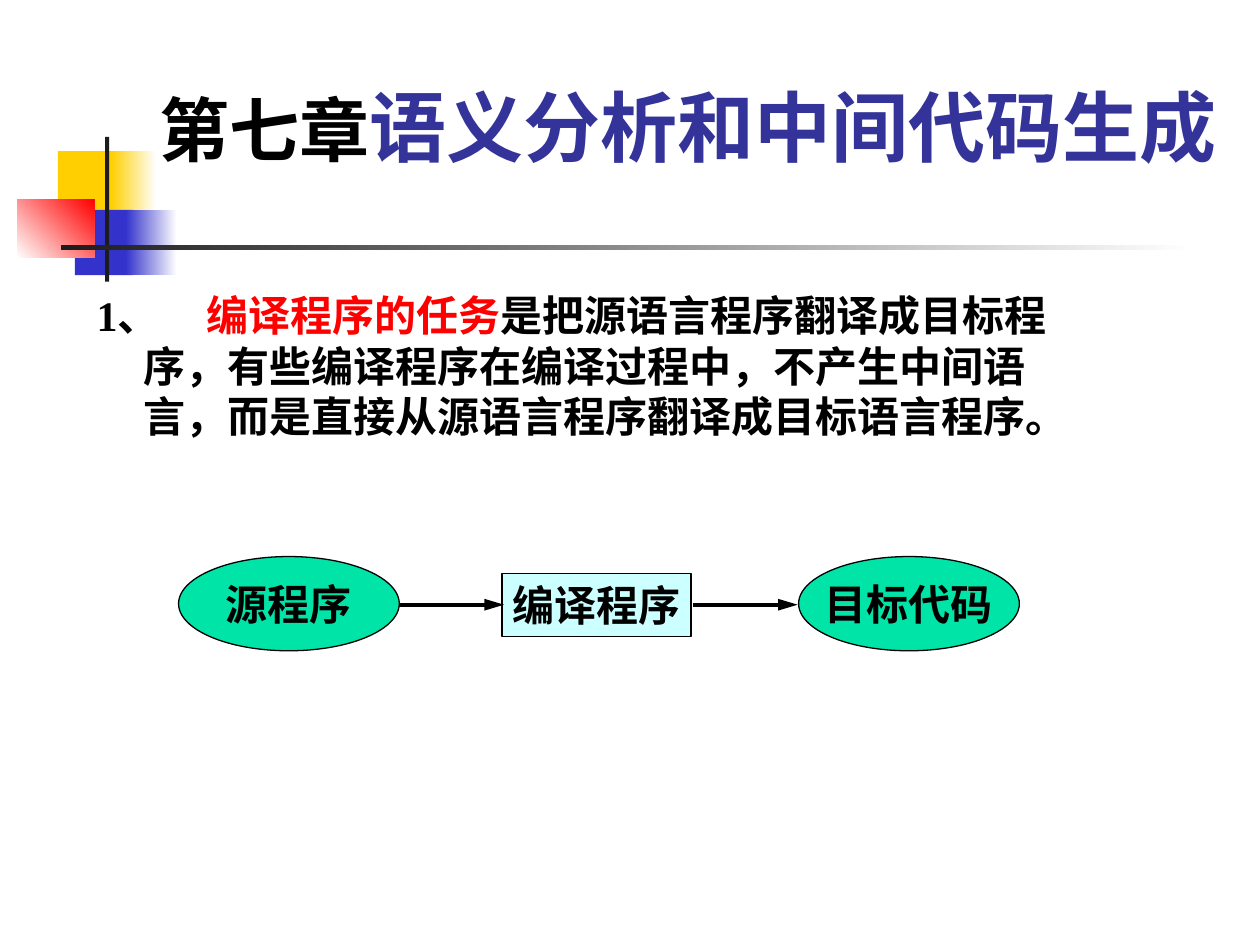
from lxml import etree
from pptx import Presentation
from pptx.dml.color import RGBColor as RGB
from pptx.enum.shapes import MSO_CONNECTOR as LINE, MSO_SHAPE as SHAPE
from pptx.enum.text import MSO_ANCHOR as ANCHOR, PP_ALIGN as ALIGN
from pptx.oxml.ns import qn
from pptx.util import Cm, Pt

BLACK = RGB(0, 0, 0)
WHITE = RGB(255, 255, 255)
DARK = RGB(0x1C, 0x1C, 0x1C)
GOLD = RGB(0xFF, 0xCF, 0x01)
BLUE = RGB(0x33, 0x33, 0xCC)
NAVY = RGB(0x33, 0x33, 0x99)
RED = RGB(255, 0, 0)
GREEN = RGB(0, 0xE4, 0xA8)
PALE = RGB(0xCC, 255, 255)
SERIF = "Times New Roman"

deck = Presentation()
deck.slide_width, deck.slide_height = Cm(25.4), Cm(19.05)
slide = deck.slides.add_slide(deck.slide_layouts[6])
shapes = slide.shapes


def add_shape(kind, left, top, width, height, color):
    shape = shapes.add_shape(kind, Cm(left), Cm(top), Cm(width), Cm(height))
    shape.shadow.inherit = False
    shape.fill.solid()
    shape.fill.fore_color.rgb = color
    return shape


def add_run(para, text, size, color, font=SERIF):
    run = para.add_run()
    run.text = text
    run.font.size = Pt(size)
    run.font.bold = True
    run.font.name = font
    run.font.color.rgb = color


# Corner ornament: left, top, width, height, start colour, end colour, angle
blocks = [
    (1.17, 3.05, 1.22, 1.32, GOLD, GOLD, 0),
    (2.24, 3.05, 0.91, 1.32, GOLD, WHITE, 0),
    (1.51, 4.23, 1.17, 1.32, BLUE, BLUE, 0),
    (2.54, 4.23, 1.02, 1.32, BLUE, WHITE, 0),
    (0.35, 4.02, 1.55, 1.18, WHITE, RED, 45),
    (2.12, 2.76, 0.08, 2.92, DARK, DARK, 0),
    (1.23, 4.94, 22.86, 0.1, DARK, WHITE, 0),
]
for *place, start, end, angle in blocks:
    block = add_shape(SHAPE.RECTANGLE, *place, start)
    block.line.fill.background()
    if start != end:
        block.fill.gradient()
        block.fill.gradient_angle = angle
        for stop, color in zip(block.fill.gradient_stops, (start, end)):
            stop.color.rgb = color

title = shapes.add_textbox(Cm(2.97), Cm(0.62), Cm(23.37), Cm(2.97)).text_frame
title.word_wrap = True
title.vertical_anchor = ANCHOR.BOTTOM
add_run(title.paragraphs[0], "第七章", 40, BLACK)
add_run(title.paragraphs[0], "语义分析和中间代码生成", 44, NAVY, "Lato")

body = shapes.add_textbox(Cm(1.7), Cm(5.72), Cm(20.52), Cm(9.2)).text_frame
body.word_wrap = True
para = body.paragraphs[0]
props = para._p.get_or_add_pPr()
props.set("marL", str(Cm(0.95)))
props.set("indent", str(Cm(-0.95)))
props.set("hangingPunct", "0")
tabs = etree.SubElement(props, qn("a:tabLst"))
etree.SubElement(tabs, qn("a:tab"), pos=str(Cm(1.85)), algn="l")
add_run(para, "1、\t", 24, BLACK)
add_run(para, "编译程序的任务", 24, RED)
add_run(para, "是把源语言程序翻译成目标程序，有些编译程序在编译过程中，"
        "不产生中间语言，而是直接从源语言程序翻译成目标语言程序。", 24, BLACK)

# Flow from source program to target code
nodes = [
    ("源程序", SHAPE.OVAL, 3.6, 11.22, 4.45, 1.9, GREEN),
    ("编译程序", SHAPE.RECTANGLE, 10.12, 11.56, 3.81, 1.27, PALE),
    ("目标代码", SHAPE.OVAL, 16.1, 11.22, 4.45, 1.9, GREEN),
]
for text, *place in nodes:
    node = add_shape(*place)
    node.line.color.rgb = BLACK
    node.line.width = Pt(0.75)
    frame = node.text_frame
    frame.word_wrap = False
    frame.vertical_anchor = ANCHOR.MIDDLE
    frame.paragraphs[0].alignment = ALIGN.CENTER
    add_run(frame.paragraphs[0], text, 24, BLACK)

for left in (8.05, 13.97):
    arrow = shapes.add_connector(
        LINE.STRAIGHT, Cm(left), Cm(12.19), Cm(left + 2.11), Cm(12.19))
    arrow.line.color.rgb = BLACK
    arrow.line.width = Pt(2.25)
    etree.SubElement(arrow.line._get_or_add_ln(), qn("a:tailEnd"),
                     type="triangle", w="med", len="lg")
    etree.SubElement(arrow._element.spPr, qn("a:effectLst"))

deck.save("out.pptx")
